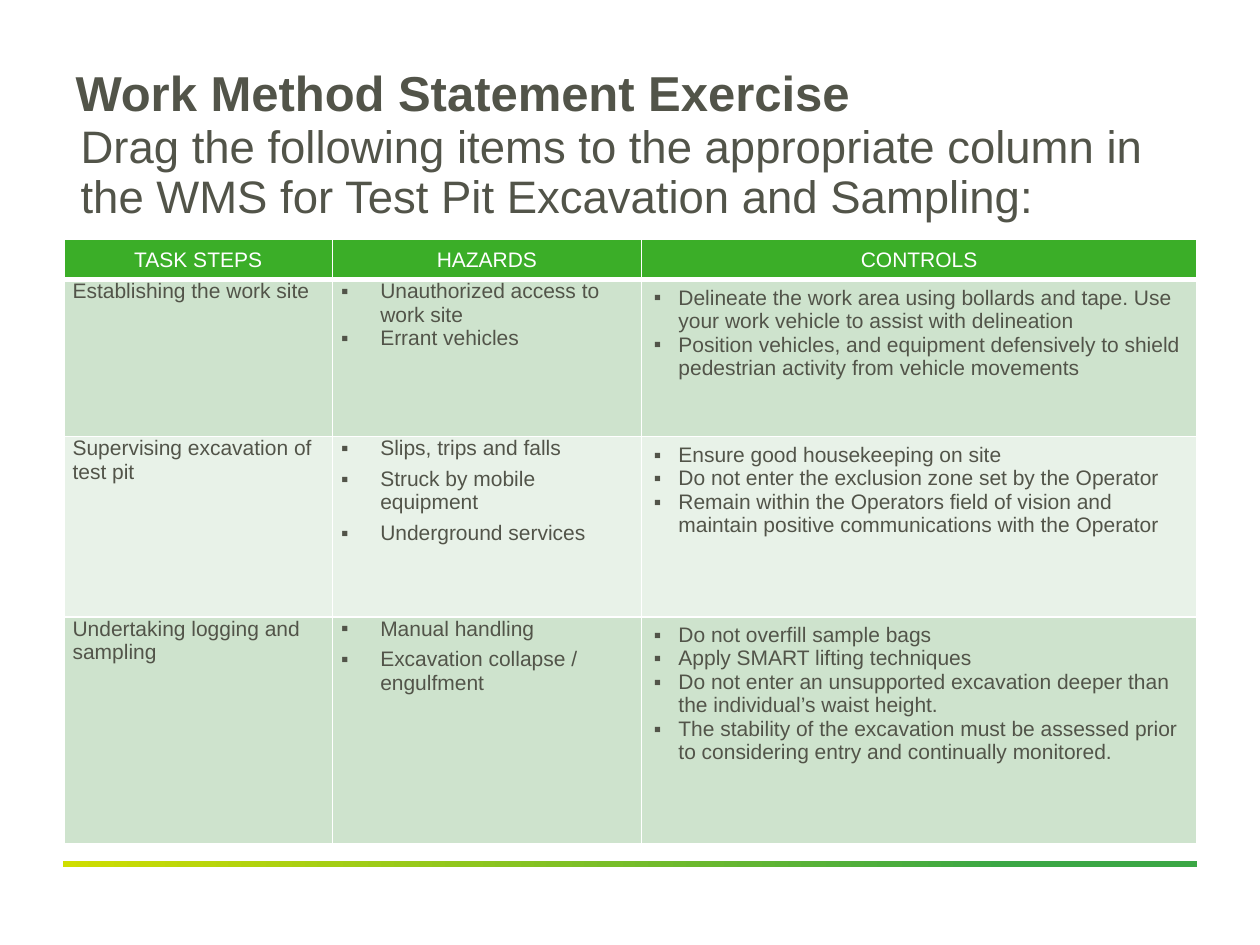
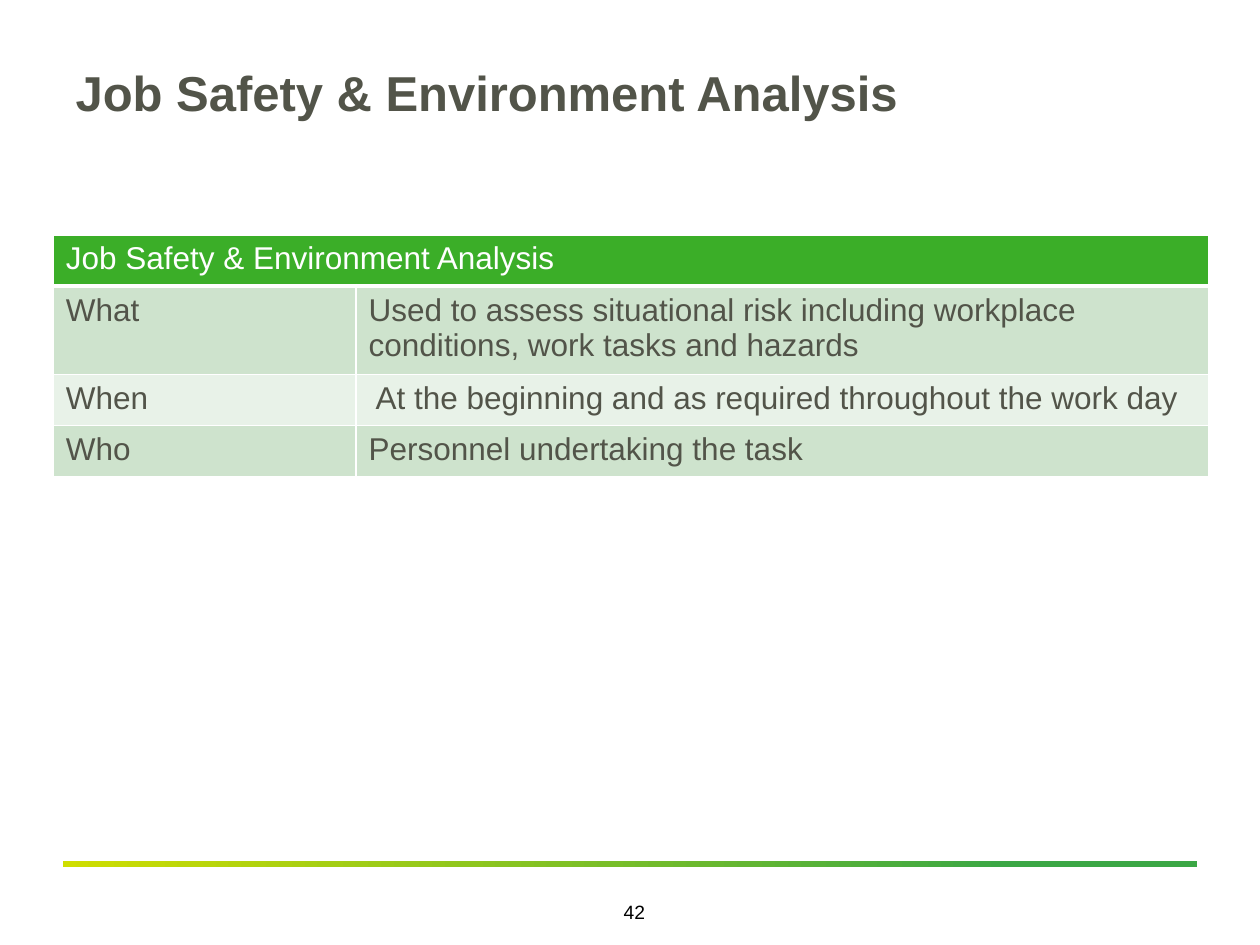
"""Build the work method statement and job safety analysis slides."""
from dataclasses import dataclass

from lxml.etree import SubElement
from pptx import Presentation
from pptx.dml.color import RGBColor
from pptx.enum.shapes import MSO_SHAPE
from pptx.enum.text import MSO_ANCHOR, MSO_AUTO_SIZE, PP_ALIGN
from pptx.oxml.ns import qn
from pptx.util import Pt

METHOD_TITLE = "Work Method Statement Exercise"
METHOD_PROMPT = (
    "Drag the following items to the appropriate column in the WMS "
    "for Test Pit Excavation and Sampling:"
)
METHOD_HEADERS = ["TASK STEPS", "HAZARDS", "CONTROLS"]
METHOD_ROWS = [
    (
        "Establishing the work site",
        ["Unauthorized access to work site", "Errant vehicles"],
        [
            "Delineate the work area using bollards and tape. "
            "Use your work vehicle to assist with delineation",
            "Position vehicles, and equipment defensively to shield "
            "pedestrian activity from vehicle movements",
        ],
    ),
    (
        "Supervising excavation of test pit",
        ["Slips, trips and falls", "Struck by mobile equipment", "Underground services"],
        [
            "Ensure good housekeeping on site",
            "Do not enter the exclusion zone set by the Operator",
            "Remain within the Operators field of vision and maintain "
            "positive communications with the Operator",
        ],
    ),
    (
        "Undertaking logging and sampling",
        ["Manual handling", "Excavation collapse / engulfment"],
        [
            "Do not overfill sample bags",
            "Apply SMART lifting techniques",
            "Do not enter an unsupported excavation deeper than "
            "the individual’s waist height.",
            "The stability of the excavation must be assessed prior to "
            "considering entry and continually monitored.",
        ],
    ),
]
HAZARD_SPACING = [0, 4, 4]

ANALYSIS_TITLE = "Job Safety & Environment Analysis"
ANALYSIS_ROWS = [
    ("What", "Used to assess situational risk including workplace conditions, "
             "work tasks and hazards"),
    ("When", " At the beginning and as required throughout the work day"),
    ("Who", "Personnel undertaking the task"),
]
PAGE_NUMBER = "42"


@dataclass(frozen=True)
class Theme:
    """Colours, font and type sizes shared by the slides."""

    font: str = "Arial"
    text: str = "525449"
    white: str = "FFFFFF"
    black: str = "000000"
    header: str = "3BAE28"
    bands: tuple = ("CEE3CD", "E8F2E8")
    rule: tuple = ((0, "CFDE00"), (0.83, "3BA745"))
    title_size: float = 28
    prompt_size: float = 26
    analysis_size: float = 18
    method_size: float = 12
    page_size: float = 11


THEME = Theme()


def format_runs(text_frame, size, color, bold=False):
    """Apply one font to every run of a text frame."""
    for paragraph in text_frame.paragraphs:
        for run in paragraph.runs:
            run.font.name = THEME.font
            run.font.size = Pt(size)
            run.font.bold = bold
            run.font.color.rgb = RGBColor.from_string(color)


def add_titled_slide(presentation, title_text):
    """Add a slide with the shared title style and gradient rule."""
    slide = presentation.slides.add_slide(presentation.slide_layouts[5])
    title = slide.shapes.title
    title.left, title.top, title.width, title.height = Pt(36), Pt(36), Pt(648), Pt(36.7)
    text_frame = title.text_frame
    text_frame.text = title_text
    text_frame.auto_size = MSO_AUTO_SIZE.NONE
    text_frame.vertical_anchor = MSO_ANCHOR.MIDDLE
    text_frame.paragraphs[0].alignment = PP_ALIGN.LEFT
    text_frame.paragraphs[0].line_spacing = 0.9
    format_runs(text_frame, THEME.title_size, THEME.text, bold=True)

    rule = slide.shapes.add_shape(MSO_SHAPE.RECTANGLE, Pt(36), Pt(492), Pt(648), Pt(3.5))
    rule.shadow.inherit = False
    rule.line.fill.background()
    rule.fill.gradient()
    rule.fill.gradient_angle = 0
    for stop, (position, color) in zip(rule.fill.gradient_stops, THEME.rule):
        stop.position = position
        stop.color.rgb = RGBColor.from_string(color)
    return slide


def add_text(slide, text, left, top, width, height, size, color, alignment=PP_ALIGN.LEFT):
    """Add a wrapping text box and return its paragraph."""
    text_frame = slide.shapes.add_textbox(Pt(left), Pt(top), Pt(width), Pt(height)).text_frame
    text_frame.word_wrap = True
    text_frame.text = text
    text_frame.paragraphs[0].alignment = alignment
    format_runs(text_frame, size, color)
    return text_frame.paragraphs[0]


def add_borders(cell, bottom_width):
    """Draw white lines on the four sides of a cell."""
    properties = cell._tc.get_or_add_tcPr()
    for side, width in (("L", 1), ("R", 1), ("T", 1), ("B", bottom_width)):
        line = SubElement(properties, qn(f"a:ln{side}"), w=str(Pt(width)))
        fill = SubElement(line, qn("a:solidFill"))
        SubElement(fill, qn("a:srgbClr"), val=THEME.white)


def add_banded_table(slide, left, top, column_widths, row_heights, size, rows):
    """Add a table with a green header and alternating body rows."""
    table = slide.shapes.add_table(
        len(rows), len(column_widths), Pt(left), Pt(top),
        Pt(sum(column_widths)), Pt(sum(row_heights)),
    ).table
    table.first_row = table.horz_banding = False
    for column, width in zip(table.columns, column_widths):
        column.width = Pt(width)
    for row_index, (row, height, texts) in enumerate(zip(table.rows, row_heights, rows)):
        row.height = Pt(height)
        is_header = row_index == 0
        fill = THEME.header if is_header else THEME.bands[(row_index - 1) % 2]
        color = THEME.white if is_header else THEME.text
        for cell, text in zip(row.cells, texts):
            add_borders(cell, 3 if is_header else 1)
            cell.fill.solid()
            cell.fill.fore_color.rgb = RGBColor.from_string(fill)
            cell.text_frame.text = text if isinstance(text, str) else "\n".join(text)
            format_runs(cell.text_frame, size, color)
    return table


def add_bullets(cell, indent):
    """Give every paragraph of a cell a hanging square bullet."""
    for paragraph in cell.text_frame.paragraphs:
        properties = paragraph._p.get_or_add_pPr()
        properties.set("marL", str(Pt(indent)))
        properties.set("indent", str(-Pt(indent)))
        SubElement(properties, qn("a:buFont"), typeface=THEME.font)
        SubElement(properties, qn("a:buChar"), char="▪")


def build_method_slide(presentation):
    """Build the work method statement slide."""
    slide = add_titled_slide(presentation, METHOD_TITLE)
    prompt = add_text(slide, METHOD_PROMPT, 39, 67.7, 645, 66, THEME.prompt_size, THEME.text)
    prompt.line_spacing = 0.9
    table = add_banded_table(
        slide, 36.5, 137, (153.5, 176.5, 317.5), (22.8, 89.8, 103, 129.5),
        THEME.method_size, [METHOD_HEADERS, *METHOD_ROWS],
    )
    for cell in table.rows[0].cells:
        cell.vertical_anchor = MSO_ANCHOR.MIDDLE
        cell.text_frame.paragraphs[0].alignment = PP_ALIGN.CENTER
    for row_index, spacing in enumerate(HAZARD_SPACING, start=1):
        step, hazards, controls = table.rows[row_index].cells
        for cell in (step, hazards):
            cell.margin_left = cell.margin_right = Pt(5)
            cell.margin_top = cell.margin_bottom = Pt(0)
        add_bullets(hazards, 22.3)
        add_bullets(controls, 14)
        for paragraph in hazards.text_frame.paragraphs:
            paragraph.space_after = Pt(spacing)


def build_analysis_slide(presentation):
    """Build the job safety and environment analysis slide."""
    slide = add_titled_slide(presentation, ANALYSIS_TITLE)
    add_text(slide, PAGE_NUMBER, 343.5, 511, 38, 24.5, THEME.page_size, THEME.black,
             PP_ALIGN.CENTER)
    table = add_banded_table(
        slide, 30.5, 134.3, (173, 487.5), (29.2, 47.4, 29.2, 29.2),
        THEME.analysis_size, [(ANALYSIS_TITLE, ""), *ANALYSIS_ROWS],
    )
    table.cell(0, 0).merge(table.cell(0, 1))


def main():
    """Create and save the presentation."""
    presentation = Presentation()
    presentation.slide_width, presentation.slide_height = Pt(720), Pt(540)
    build_method_slide(presentation)
    build_analysis_slide(presentation)
    presentation.save("out.pptx")


if __name__ == "__main__":
    main()
